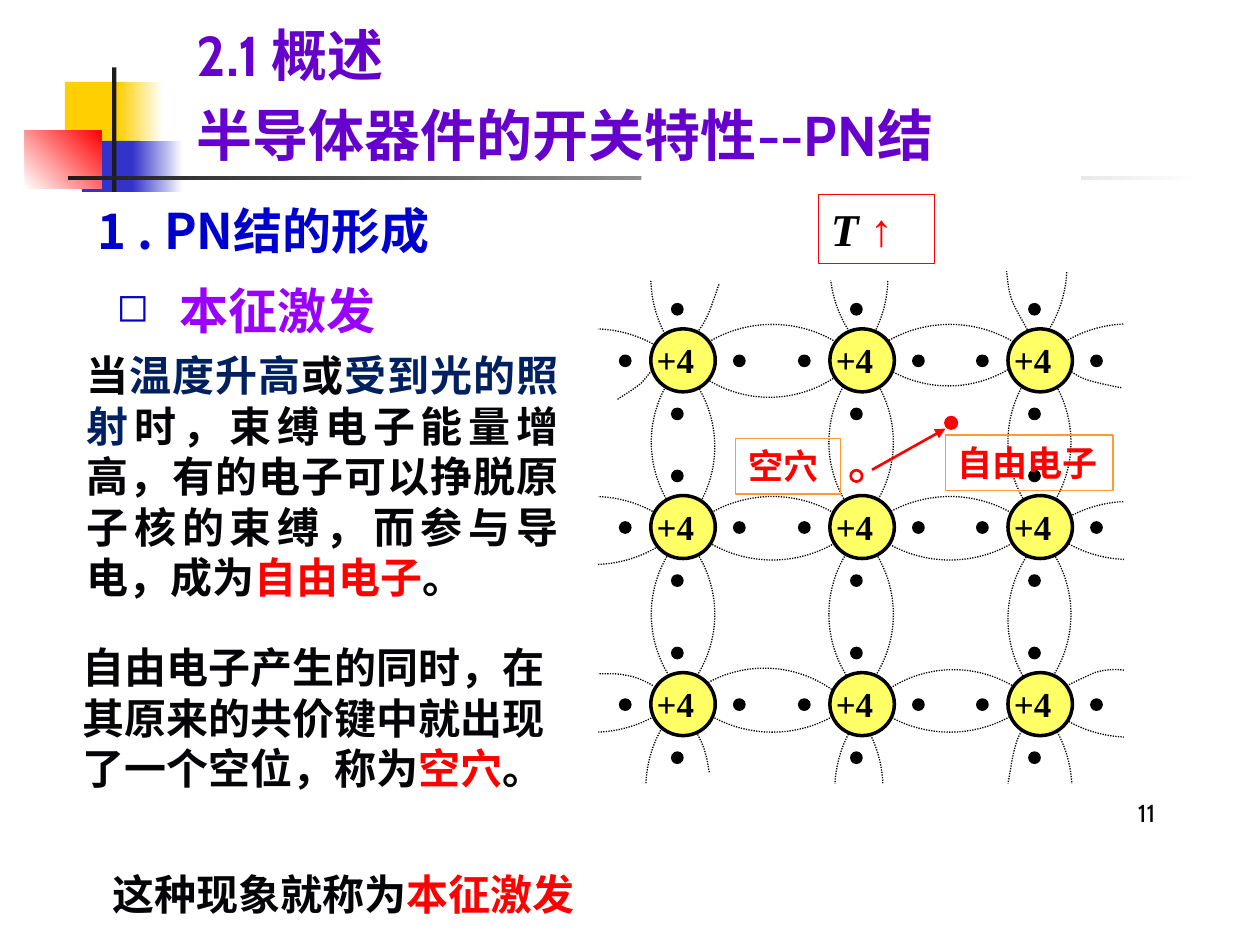
"""Build the intrinsic excitation slide with its silicon lattice diagram."""
from itertools import product

from lxml import etree
from pptx import Presentation
from pptx.dml.color import RGBColor
from pptx.enum.dml import MSO_LINE
from pptx.enum.shapes import MSO_CONNECTOR, MSO_SHAPE
from pptx.enum.text import MSO_ANCHOR, PP_ALIGN
from pptx.oxml.ns import qn
from pptx.util import Cm, Pt

RECTANGLE, OVAL = MSO_SHAPE.RECTANGLE, MSO_SHAPE.OVAL
STRAIGHT = MSO_CONNECTOR.STRAIGHT
DOTTED = MSO_LINE.ROUND_DOT
TOP, BOTTOM = MSO_ANCHOR.TOP, MSO_ANCHOR.BOTTOM
LEFT, RIGHT, JUSTIFY = PP_ALIGN.LEFT, PP_ALIGN.RIGHT, PP_ALIGN.JUSTIFY

COLORS = {
    "white": "FFFFFF", "black": "000000", "ink": "050507", "bar": "1C1C1C",
    "gold": "FFCF01", "indigo": "3333CC", "red": "FF0000", "atom": "FFFF66",
    "title": "6600CC", "heading": "0000CC", "violet": "9900FF",
    "navy": "002060", "orange": "FF9933",
}
SERIF, SANS = "Times New Roman", "Cabin"
CJK, CJK_JP = "Noto Sans CJK SC", "Noto Sans CJK JP"

DOT_SIZE = 0.23
ATOM_COLUMNS = (13.12, 16.73, 20.32)
ATOM_ROWS = (6.63, 9.99, 13.56)
ELECTRON_OFFSETS = ((-0.63, 0.53), (0.42, 1.6), (1.67, 0.53), (0.42, -0.51))

WIDE, TALL = (4.88, 4.75), (4.78, 4.85)
COVER_FLAT, COVER_UPRIGHT = (5.28, 2.74), (2.74, 5.28)
OUTER_BONDS = (
    ((16.73, 2.93), TALL, (16.51, 2.72), COVER_FLAT),
    ((13.12, 3.16), TALL, (12.93, 2.92), COVER_FLAT),
    ((9.53, 10.01), WIDE, (9.32, 9.68), COVER_UPRIGHT),
    ((9.53, 6.63), WIDE, (9.32, 6.3), COVER_UPRIGHT),
    ((13.02, 13.47), TALL, (12.7, 15.8), COVER_FLAT),
    ((16.83, 13.5), TALL, (16.51, 15.8), COVER_FLAT),
    ((20.32, 6.53), WIDE, (22.66, 6.3), COVER_UPRIGHT),
    ((20.32, 10.11), WIDE, (22.66, 9.91), COVER_UPRIGHT),
)
INNER_BONDS = tuple(product((13.13, 16.71), (6.54, 10.01)))
CORNER_BONDS = (
    ((13.16, 13.82), (12.98, 13.72), (12.83, 13.64), (12.6, 13.61),
     (12.4, 13.56), (11.96, 13.59), (11.84, 13.59)),
    ((21.39, 7.34), (21.54, 7.44), (21.67, 7.57), (21.89, 7.65),
     (22.1, 7.72), (22.5, 7.8), (22.63, 7.82)),
    ((12.45, 8.05), (12.6, 7.95), (12.75, 7.87), (12.93, 7.72),
     (13.08, 7.57), (13.31, 7.21), (13.39, 7.11)),
    ((13.87, 6.88), (14, 6.76), (14.12, 6.65), (14.22, 6.45),
     (14.33, 6.25), (14.45, 5.84), (14.5, 5.72)),
    ((20.75, 14.53), (20.62, 14.68), (20.52, 14.83), (20.47, 15.04),
     (20.4, 15.27), (20.35, 15.67), (20.32, 15.8)),
    ((22.66, 13.51), (22.48, 13.49), (22.3, 13.49), (22.07, 13.56),
     (21.87, 13.64), (21.49, 13.84), (21.36, 13.89)),
    ((14.3, 15.57), (14.27, 15.44), (14.27, 15.34), (14.22, 15.19),
     (14.2, 15.06), (14.07, 14.81), (14.02, 14.73)),
    ((20.29, 5.46), (20.32, 5.66), (20.32, 5.84), (20.4, 6.05),
     (20.47, 6.25), (20.7, 6.6), (20.75, 6.73)),
)


def rgb(name):
    return RGBColor.from_string(COLORS[name])


def style_shape(shape, fill=None, line=None, width=0.75, dash=None):
    if fill:
        shape.fill.solid()
        shape.fill.fore_color.rgb = rgb(fill)
    else:
        shape.fill.background()
    if line:
        shape.line.color.rgb = rgb(line)
        shape.line.width = Pt(width)
        if dash:
            shape.line.dash_style = dash
    else:
        shape.line.fill.background()


def add_figure(slide, kind, position, size, **style):
    shape = slide.shapes.add_shape(kind, *map(Cm, (*position, *size)))
    shape.shadow.inherit = False
    style_shape(shape, **style)
    return shape


def add_gradient(slide, position, size, start, end, angle=0):
    shape = add_figure(slide, RECTANGLE, position, size)
    shape.fill.gradient()
    shape.fill.gradient_angle = angle
    for stop, color in zip(shape.fill.gradient_stops, (start, end)):
        stop.color.rgb = rgb(color)


def add_curve(slide, points):
    """Draw a dotted chain of cubic segments, three points to each segment."""
    builder = slide.shapes.build_freeform(*map(Cm, points[0]))
    builder.add_line_segments([tuple(map(Cm, point)) for point in points[1:]], close=False)
    shape = builder.convert_to_shape()
    shape.shadow.inherit = False
    style_shape(shape, line="black", dash=DOTTED)
    segments = list(shape._element.iter(qn("a:lnTo")))
    outline = segments[0].getparent()
    for first in range(0, len(segments), 3):
        cubic = etree.SubElement(outline, qn("a:cubicBezTo"))
        for segment in segments[first:first + 3]:
            cubic.append(segment[0])
            outline.remove(segment)


def add_text(slide, position, size, runs, points, font=SERIF, bold=True,
             align=LEFT, anchor=TOP, spacing=None, bullet=None, **style):
    """Add a one-paragraph text box whose runs are (text, color) pairs."""
    box = slide.shapes.add_textbox(*map(Cm, (*position, *size)))
    style_shape(box, **style)
    frame = box.text_frame
    frame.word_wrap = True
    frame.vertical_anchor = anchor
    paragraph = frame.paragraphs[0]
    paragraph.alignment = align
    paragraph._p.get_or_add_pPr().set("hangingPunct", "0")
    if spacing:
        paragraph.line_spacing = spacing
    if bullet:
        add_bullet(paragraph, *bullet)
    for text, color in runs:
        run = paragraph.add_run()
        run.text = text
        run.font.size, run.font.bold = Pt(points), bold
        run.font.color.rgb = rgb(color)
        run.font.name = font
        east_asian = font if font in (CJK, CJK_JP) else CJK
        etree.SubElement(run.font._element, qn("a:ea"), typeface=east_asian)
    return box


def add_bullet(paragraph, symbol, color):
    properties = paragraph._p.get_or_add_pPr()
    properties.set("marL", str(Cm(1.27)))
    properties.set("indent", str(-Cm(1.27)))
    bullet_color = etree.SubElement(properties, qn("a:buClr"))
    etree.SubElement(bullet_color, qn("a:srgbClr"), val=COLORS[color])
    etree.SubElement(properties, qn("a:buSzPct"), val="80000")
    etree.SubElement(properties, qn("a:buChar"), char=symbol)


def add_arrow(slide, start, end, color):
    arrow = slide.shapes.add_connector(STRAIGHT, *map(Cm, (*start, *end)))
    arrow.line.color.rgb = rgb(color)
    arrow.line.width = Pt(1.5)
    etree.SubElement(arrow.line._get_or_add_ln(), qn("a:tailEnd"), type="triangle")
    etree.SubElement(arrow._element.spPr, qn("a:effectLst"))


def add_dot(slide, position, fill="black", line="black", width=0.75):
    add_figure(slide, OVAL, position, (DOT_SIZE, DOT_SIZE), fill=fill, line=line, width=width)


def add_atom(slide, x, y):
    add_figure(slide, OVAL, (x, y), (1.3, 1.27), fill="atom", line="black", width=2)
    for dx, dy in ELECTRON_OFFSETS:
        add_dot(slide, (x + dx, y + dy))
    add_text(slide, (x - 0.13, y + 0.07), (1.6, 1.09), [("+4", "black")], 20)


def add_decoration(slide):
    add_figure(slide, RECTANGLE, (1.31, 1.65), (1.22, 1.32), fill="gold")
    add_gradient(slide, (2.37, 1.65), (0.91, 1.32), "gold", "white")
    add_figure(slide, RECTANGLE, (1.65, 2.84), (1.17, 1.32), fill="indigo")
    add_gradient(slide, (2.67, 2.84), (1.02, 1.32), "indigo", "white")
    add_gradient(slide, (0.5, 2.63), (1.55, 1.17), "white", "red", 45)
    add_figure(slide, RECTANGLE, (2.26, 1.36), (0.09, 2.92), fill="bar")
    add_gradient(slide, (1.37, 3.55), (22.86, 0.09), "bar", "white")


def add_lattice(slide):
    for points in CORNER_BONDS:
        add_curve(slide, points)
    for position, size, cover, cover_size in OUTER_BONDS:
        add_figure(slide, OVAL, position, size, line="black", dash=DOTTED)
        add_figure(slide, RECTANGLE, cover, cover_size, fill="white")
    for position in INNER_BONDS:
        add_figure(slide, OVAL, position, WIDE, line="black", dash=DOTTED)
    for x, y in product(ATOM_COLUMNS, ATOM_ROWS):
        add_atom(slide, x, y)


def add_excitation(slide):
    add_dot(slide, (17.15, 9.48), "white", "red", 1.5)
    add_dot(slide, (19.06, 8.41), "red", "red", 1.5)
    add_arrow(slide, (17.58, 9.47), (19.06, 8.64), "red")
    add_text(slide, (19.06, 8.77), (3.38, 1.12), [("自由电子", "red")], 20, line="orange")
    add_text(slide, (14.83, 8.84), (2.11, 1.12), [("空穴", "red")], 20, line="orange")
    label = add_text(slide, (16.5, 3.92), (2.34, 1.4), [("T ", "black"), ("↑", "red")], 26, line="red")
    label.text_frame.paragraphs[0].runs[0].font.italic = True


def add_wording(slide):
    for top, text in ((0.33, "2.1 概述"), (1.93, "半导体器件的开关特性--PN结")):
        add_text(slide, (3.71, top), (21.2, 1.57), [(text, "title")], 32, SANS, anchor=BOTTOM)
    heading = add_text(slide, (1.5, 3.92), (9.4, 1.45), [("1 . PN结的形成", "heading")], 28, CJK,
                       fill="white", line="white", width=3)
    heading.text_frame.margin_left = Cm(0.46)
    add_text(slide, (2.1, 5.54), (8.61, 1.45), [("本征激发", "violet")], 28, CJK_JP,
             align=JUSTIFY, bullet=("◻", "heading"))
    add_text(slide, (1.5, 6.93), (10.01, 5.38), [
        ("当", "ink"), ("温度升高", "navy"), ("或", "ink"), ("受到光的照射", "navy"),
        ("时，束缚电子能量增高，有的电子可以挣脱原子核的束缚，而参与导电，成为", "ink"),
        ("自由电子", "red"), ("。", "black")], 24, align=JUSTIFY)
    add_text(slide, (1.42, 12.81), (10.08, 3.33), [
        ("自由电子产生的同时，在其原来的共价键中就出现了一个空位，称为", "ink"),
        ("空穴", "red"), ("。", "black")], 24)
    add_text(slide, (2.01, 17.12), (11.61, 1.55),
             [("这种现象就称为", "ink"), ("本征激发", "red")], 24, spacing=1.25)
    add_text(slide, (18.26, 15.54), (5.28, 1.27), [("11", "black")], 14, SANS,
             bold=False, align=RIGHT, anchor=BOTTOM)


def main():
    presentation = Presentation()
    presentation.slide_width, presentation.slide_height = Cm(25.4), Cm(19.05)
    slide = presentation.slides.add_slide(presentation.slide_layouts[6])
    add_decoration(slide)
    add_lattice(slide)
    add_wording(slide)
    add_excitation(slide)
    presentation.save("out.pptx")


if __name__ == "__main__":
    main()
